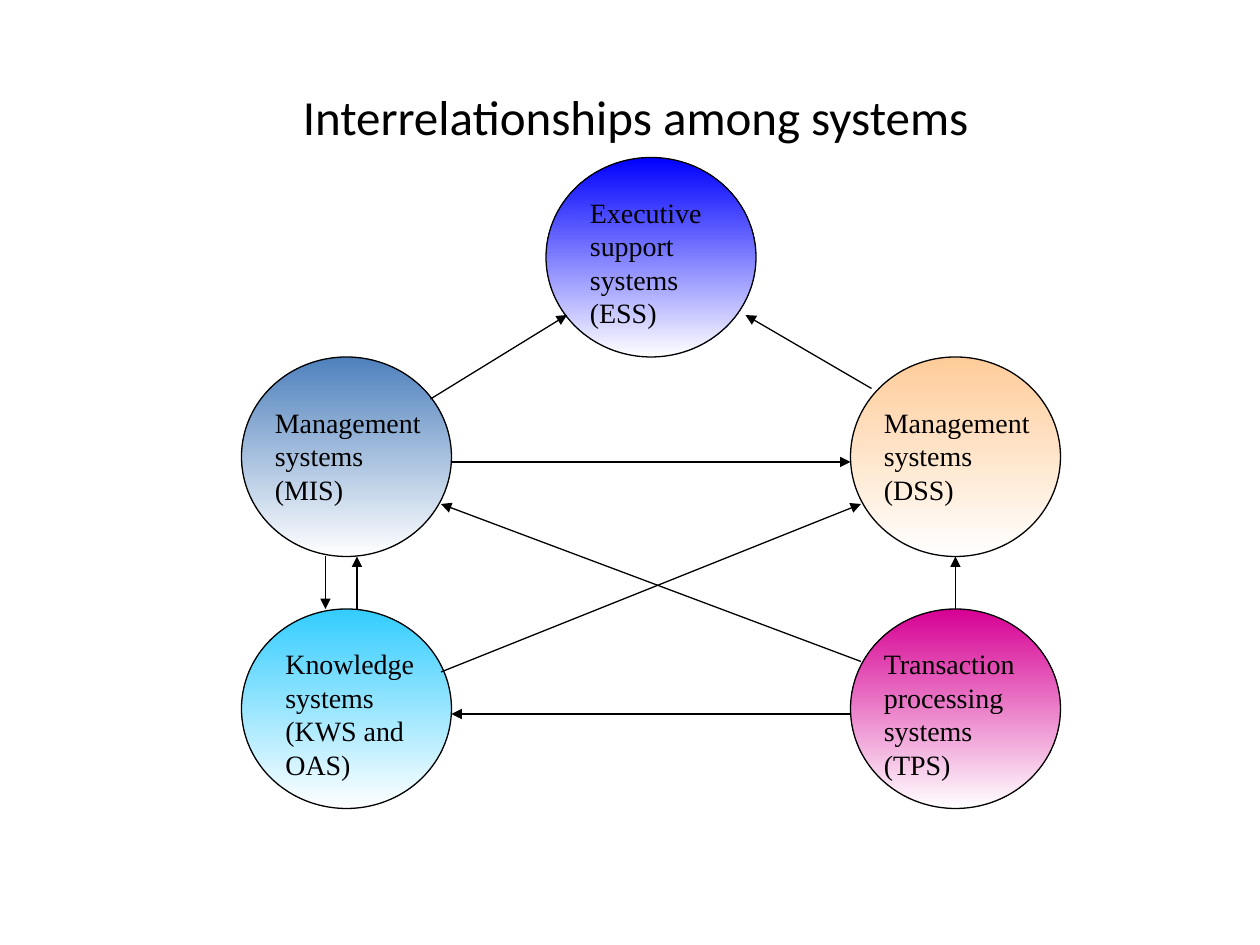
import pptx
import pptx.util
import pptx.dml.color
import pptx.enum.shapes
import pptx.enum.text
import pptx.oxml
import pptx.oxml.ns

# The slide is a grid of 120 columns by 90 rows, each a twelfth of an inch.
COLUMNS, ROWS = 120, 90
CELL = pptx.util.Inches(1) // 12
CIRCLE_WIDTH, CIRCLE_HEIGHT = 20, 19

COLORS = {"ink": "000000", "fade": "FFFFFF", "ESS": "0000FF", "MIS": "4F81BD",
          "DSS": "FFCC99", "KWS": "33CCFF", "TPS": "D60093"}

TITLE = (" Interrelationships among systems", (9, 8, 102, 6))

# name, circle (column, row), label text, label (column, row, width, height)
SYSTEMS = [
    ("ESS", (52, 15), "Executive support systems (ESS)", (55, 18, 14, 14)),
    ("MIS", (23, 34), "Management systems (MIS)", (25, 38, 17, 11)),
    ("DSS", (81, 34), "Management systems (DSS)", (83, 38, 17, 11)),
    ("KWS", (23, 58), "Knowledge systems (KWS and OAS)", (26, 61, 15, 14)),
    ("TPS", (81, 58), "Transaction processing systems (TPS)", (83, 61, 16, 14)),
]

# from (column, row), to (column, row)
FLOWS = [
    ((42, 64), (82, 48)),  # KWS to DSS
    ((82, 63), (42, 48)),  # TPS to MIS
    ((91, 58), (91, 53)),  # TPS to DSS
    ((34, 58), (34, 53)),  # KWS to MIS
    ((31, 53), (31, 58)),  # MIS to KWS
    ((81, 68), (43, 68)),  # TPS to KWS
    ((43, 44), (81, 44)),  # MIS to DSS
    ((41, 38), (54, 30)),  # MIS to ESS
    ((83, 37), (71, 30)),  # DSS to ESS
]

TITLE_FONT = {"name": "Calibri", "size": pptx.util.Pt(28)}
LABEL_FONT = {"name": "Times New Roman", "size": pptx.util.Pt(16)}


def color(name):
    return pptx.dml.color.RGBColor.from_string(COLORS[name])


def cells(values):
    return [value * CELL for value in values]


def set_line(shape):
    shape.line.color.rgb = color("ink")
    shape.line.width = pptx.util.Pt(0.75)


def add_text(page, text, place, font, align, anchor):
    box = page.shapes.add_textbox(*cells(place))
    box.text_frame.word_wrap = True
    box.text_frame.vertical_anchor = anchor
    para = box.text_frame.paragraphs[0]
    para.alignment = align
    span = para.add_run()
    span.text = text
    for key, value in font.items():
        setattr(span.font, key, value)
    span.font.color.rgb = color("ink")


def add_circle(page, name, corner):
    circle = page.shapes.add_shape(
        pptx.enum.shapes.MSO_SHAPE.OVAL,
        *cells((*corner, CIRCLE_WIDTH, CIRCLE_HEIGHT)))
    circle.shadow.inherit = False
    circle.fill.gradient()
    circle.fill.gradient_angle = 270
    for stop, shade in zip(circle.fill.gradient_stops, (name, "fade")):
        stop.color.rgb = color(shade)
    set_line(circle)


def add_arrow(page, start, end):
    arrow = page.shapes.add_connector(
        pptx.enum.shapes.MSO_CONNECTOR.STRAIGHT, *cells(start + end))
    set_line(arrow)
    head = pptx.oxml.parse_xml(
        f'<a:tailEnd {pptx.oxml.ns.nsdecls("a")} type="triangle"/>')
    arrow.line._get_or_add_ln().append(head)
    arrow._element.spPr.append(
        pptx.oxml.parse_xml(f'<a:effectLst {pptx.oxml.ns.nsdecls("a")}/>'))


def main():
    deck = pptx.Presentation()
    deck.slide_width, deck.slide_height = cells((COLUMNS, ROWS))
    page = deck.slides.add_slide(deck.slide_layouts[6])
    align, anchor = pptx.enum.text.PP_ALIGN, pptx.enum.text.MSO_ANCHOR

    add_text(page, *TITLE, TITLE_FONT, align.CENTER, anchor.MIDDLE)
    for name, corner, _, _ in SYSTEMS:
        add_circle(page, name, corner)
    for _, _, label, place in SYSTEMS:
        add_text(page, label, place, LABEL_FONT, align.LEFT, anchor.TOP)
    for start, end in FLOWS:
        add_arrow(page, start, end)
    deck.save("out.pptx")


if __name__ == "__main__":
    main()
